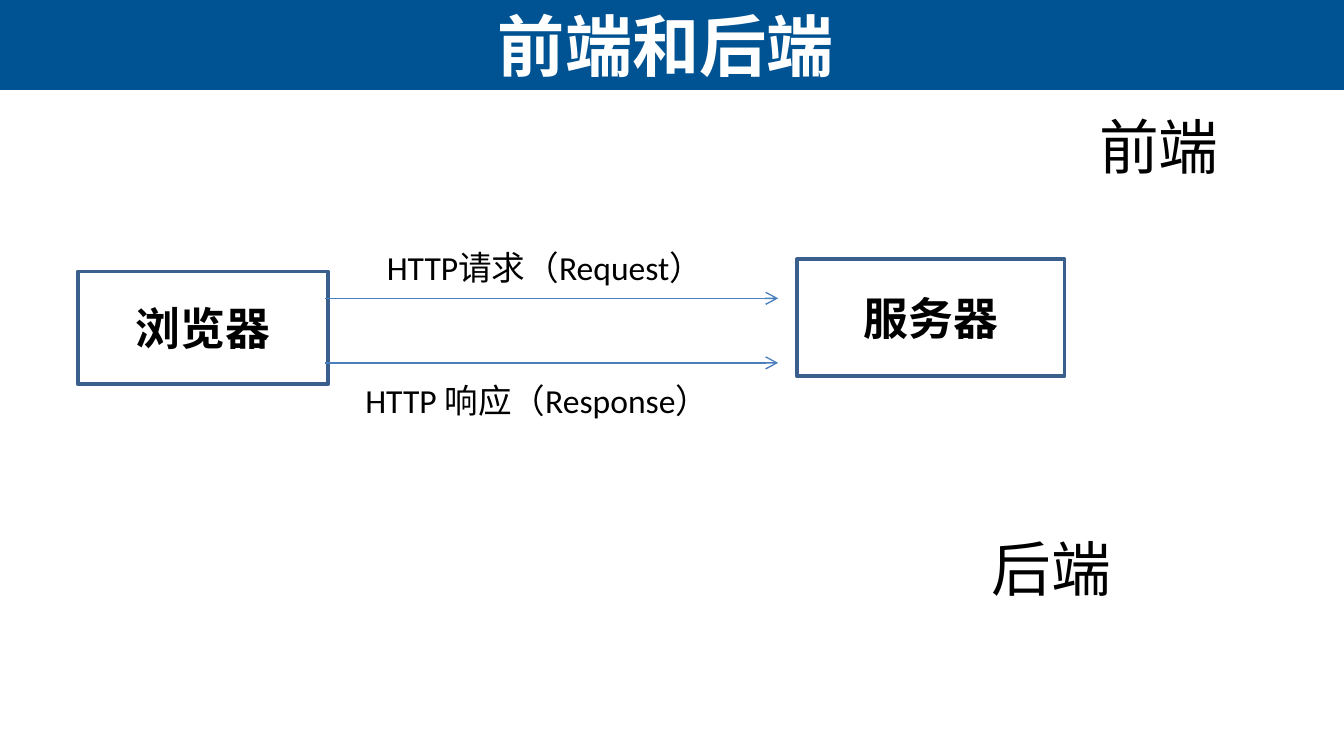
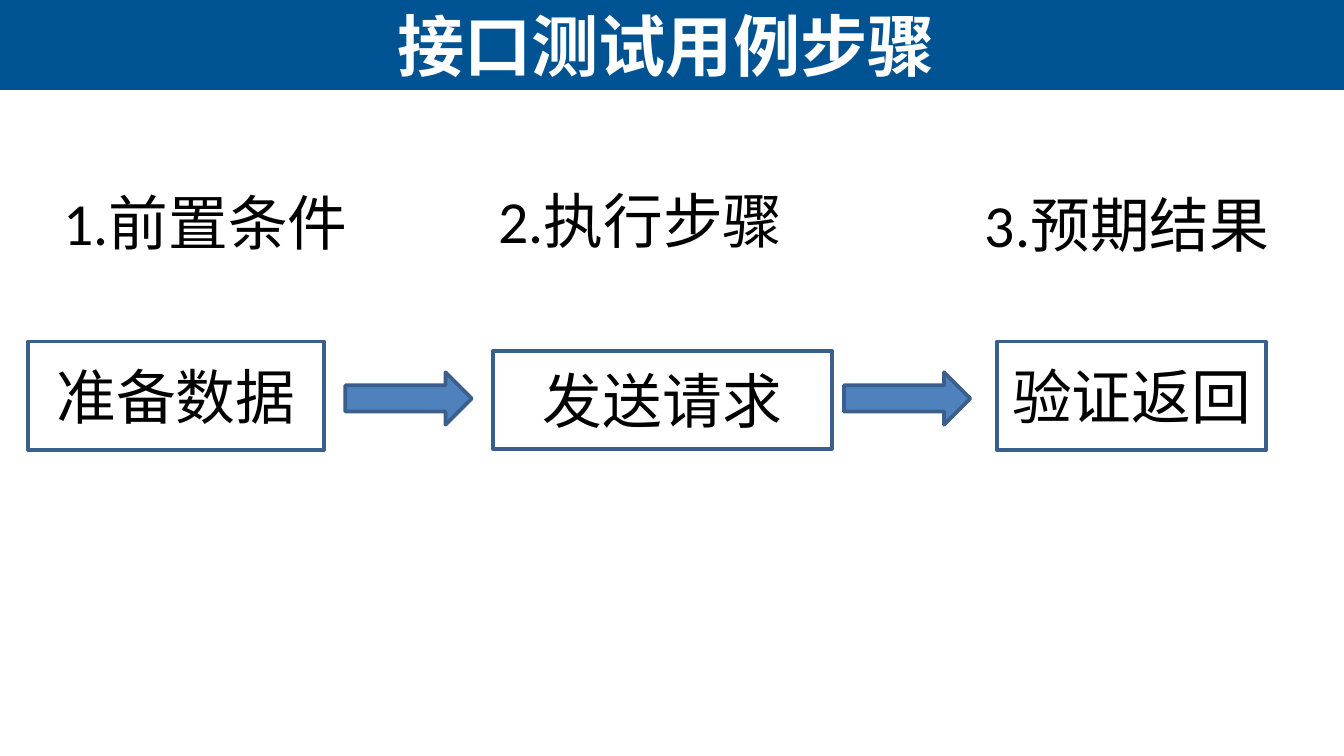
from dataclasses import dataclass

from lxml.etree import SubElement
from pptx import Presentation
from pptx.dml.color import RGBColor as Color
from pptx.enum.shapes import MSO_CONNECTOR as Connector, MSO_SHAPE as Preset
from pptx.enum.text import MSO_ANCHOR as Anchor, MSO_AUTO_SIZE as Fit, PP_ALIGN as Align
from pptx.oxml.ns import qn
from pptx.util import Inches, Pt


@dataclass(frozen=True)
class Theme:
    band: str = "005392"
    outline: str = "3A5F8C"
    arrow: str = "4F81BD"
    link: str = "4B7EBC"
    ink: str = "000000"
    light: str = "FFFFFF"
    heading_font: str = "Arial"
    body_font: str = "Calibri"
    title_size: int = 36
    large: int = 32
    medium: int = 24
    small: int = 18
    outline_width: float = 2
    link_width: float = 0.75


THEME = Theme()
COLUMNS = 100
TITLE_ONLY, TITLE_AND_BODY = 5, 1
BAND_AREA = (0, 0, 100, 6.7)
TITLE_AREA = (0.2, 0, 98.7, 6.7)

WEB = {
    "title": "前端和后端",
    "nodes": [("服务器", (59.3, 19.3, 19.9, 8.7)), ("浏览器", (5.8, 20.2, 18.6, 8.4))],
    "link_rows": [22.2, 27],
    "link_span": (24.2, 57.9),
    "messages": [
        ("HTTP请求（Request）", (27.8, 17.9, 33.8, 4)),
        ("HTTP 响应（Response）", (26.2, 27.8, 37, 4)),
    ],
    "sides": [("前端", (80.8, 7.7, 12.6, 6.4)), ("后端", (72.8, 39.1, 12.6, 6.4))],
}

STEPS = {
    "title": "接口测试用例步骤",
    "first_label": ("1.前置条件", (3.7, 13.3, 28.5, 6.1)),
    "labels": [
        ("2.执行步骤", (36.1, 13.2, 28.3, 6.4)),
        ("3.预期结果", (72.3, 13.5, 28.3, 6.4)),
    ],
    "actions": [
        ("准备数据", (2.1, 25.4, 22, 8.1)),
        ("发送请求", (36.7, 26.1, 25.2, 7.3)),
        ("验证返回", (74.2, 25.4, 20, 8.1)),
    ],
    "arrow_lefts": [25.7, 62.8],
    "arrow_row": 27.7,
    "arrow_size": (9.4, 3.9),
}

deck = Presentation()
deck.slide_width = Inches(10)
deck.slide_height = deck.slide_width * 9 // 16
UNIT = deck.slide_width / COLUMNS


def grid(*cells):
    return [round(cell * UNIT) for cell in cells]


def move(shape, area):
    shape.left, shape.top, shape.width, shape.height = grid(*area)


def write(shape, text, size, font=THEME.body_font, color=THEME.ink, bold=False, align=None):
    frame = shape.text_frame
    frame.text = text
    frame.word_wrap = True
    para = frame.paragraphs[0]
    para.alignment = align
    for span in para.runs:
        span.font.name, span.font.size, span.font.bold = font, Pt(size), bold
        span.font.color.rgb = Color.from_string(color)
    return frame


def add_preset(page, preset, area, fill=None, outline=THEME.outline):
    shape = page.shapes.add_shape(preset, *grid(*area))
    shape.shadow.inherit = False
    if fill:
        shape.fill.solid()
        shape.fill.fore_color.rgb = Color.from_string(fill)
    else:
        shape.fill.background()
    if outline:
        shape.line.color.rgb = Color.from_string(outline)
        shape.line.width = Pt(THEME.outline_width)
    else:
        shape.line.fill.background()
    return shape


def add_box(page, text, area, size, bold=False):
    box = add_preset(page, Preset.RECTANGLE, area)
    frame = write(box, text, size, bold=bold, align=Align.CENTER)
    frame.vertical_anchor = Anchor.MIDDLE


def add_label(page, text, area, size):
    label = page.shapes.add_textbox(*grid(*area))
    write(label, text, size).auto_size = Fit.SHAPE_TO_FIT_TEXT


def add_link(page, row):
    start, end = WEB["link_span"]
    link = page.shapes.add_connector(Connector.STRAIGHT, *grid(start, row, end, row))
    link.line.color.rgb = Color.from_string(THEME.link)
    link.line.width = Pt(THEME.link_width)
    properties = link.element.spPr
    SubElement(properties.find(qn("a:ln")), qn("a:tailEnd"), type="arrow")
    SubElement(properties, qn("a:effectLst"))


def add_page(layout, title):
    page = deck.slides.add_slide(deck.slide_layouts[layout])
    heading = page.shapes.title
    move(heading, TITLE_AREA)
    frame = write(heading, title, THEME.title_size, THEME.heading_font, THEME.light, True, Align.CENTER)
    frame.vertical_anchor = Anchor.MIDDLE
    frame.auto_size = Fit.NONE
    return page


def add_master_band(page):
    band = add_preset(page, Preset.RECTANGLE, BAND_AREA, THEME.band, None)
    deck.slide_master.shapes.element.insert(2, band.element)


def build_web():
    page = add_page(TITLE_ONLY, WEB["title"])
    add_master_band(page)
    for text, area in WEB["nodes"]:
        add_box(page, text, area, THEME.medium, bold=True)
    for row in WEB["link_rows"]:
        add_link(page, row)
    for group, size in (("messages", THEME.small), ("sides", THEME.large)):
        for text, area in WEB[group]:
            add_label(page, text, area, size)


def build_steps():
    page = add_page(TITLE_AND_BODY, STEPS["title"])
    text, area = STEPS["first_label"]
    body = page.placeholders[1]
    move(body, area)
    frame = write(body, text, THEME.large)
    frame.auto_size = Fit.NONE
    properties = frame.paragraphs[0]._p.get_or_add_pPr()
    properties.set("marL", "0")
    properties.set("indent", "0")
    SubElement(properties, qn("a:buNone"))
    for text, area in STEPS["labels"]:
        add_label(page, text, area, THEME.large)
    for text, area in STEPS["actions"]:
        add_box(page, text, area, THEME.large)
    for left in STEPS["arrow_lefts"]:
        area = (left, STEPS["arrow_row"], *STEPS["arrow_size"])
        add_preset(page, Preset.RIGHT_ARROW, area, THEME.arrow)


build_web()
build_steps()
deck.save("out.pptx")
